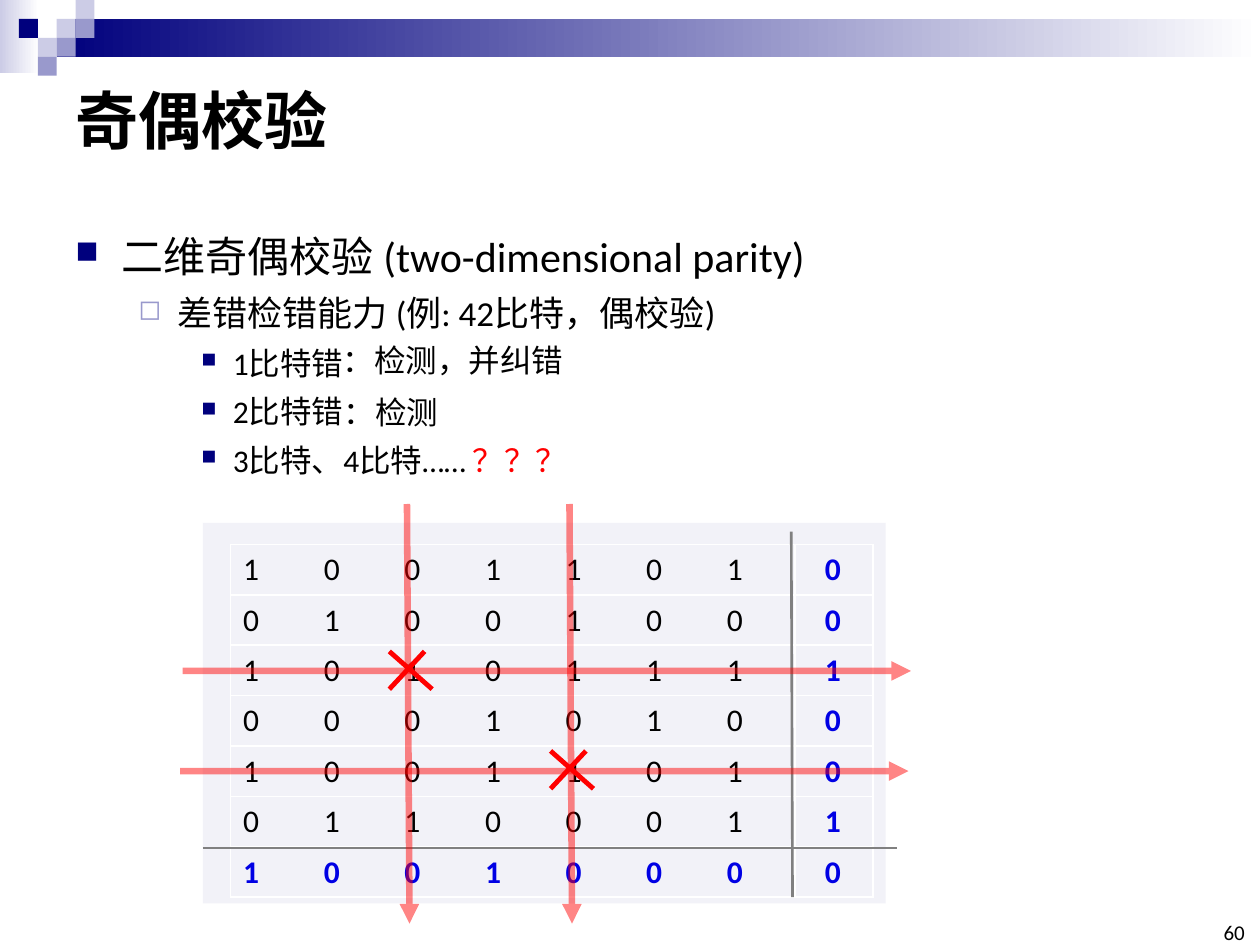
from lxml import etree
from pptx import Presentation
from pptx.dml.color import RGBColor
from pptx.enum.shapes import MSO_CONNECTOR, MSO_SHAPE
from pptx.enum.text import MSO_ANCHOR, PP_ALIGN
from pptx.oxml.ns import qn
from pptx.util import Inches, Pt

RECT, LINE = MSO_SHAPE.RECTANGLE, MSO_CONNECTOR.STRAIGHT
LEFT, CENTER, RIGHT = PP_ALIGN.LEFT, PP_ALIGN.CENTER, PP_ALIGN.RIGHT
MIDDLE, BOTTOM = MSO_ANCHOR.MIDDLE, MSO_ANCHOR.BOTTOM
PLAIN = "{2D5ABB26-0587-4C30-8999-92F81FD0307C}"
FONT, HEAD = "Calibri", "Noto Sans CJK SC"
COLORS = {"navy": "00007D", "mid": "9999CC", "pale": "CCCCE6", "white": "FFFFFF",
          "panel": "F2F2F8", "black": "000000", "blue": "0000E4", "red": "FF0000",
          "gray": "808080"}
BITS = ["1001101", "0100100", "1010111", "0001010", "1001101", "0110001"]
CHECKS = list("001001")
POINTS = [
    (0, 24, "■", "navy", 75, "二维奇偶校验 (two-dimensional parity)"),
    (1, 20, "◻", "mid", 80, "差错检错能力 (例: 42比特，偶校验)"),
    (2, 18, "■", "navy", 65, "1比特错"),
    (2, 18, "■", "navy", 65, "2比特错"),
    (2, 18, "■", "navy", 65, "3比特、4比特…… "),
]
INDENTS = [(0.37, -0.37), (0.81, -0.31), (1.25, -0.25)]


def rgb(name):
    """Return the named colour."""
    return RGBColor.from_string(COLORS[name])


def sub(node, tag, **attrs):
    """Append a child element and return it."""
    return etree.SubElement(node, qn(tag), {key: str(val) for key, val in attrs.items()})


def style(run, size, color="black", bold=False, face=FONT):
    """Format a run in both Latin and East Asian type."""
    font = run.font
    font.size, font.bold, font.name = Pt(size), bold, face
    font.color.rgb = rgb(color)
    sub(run._r.get_or_add_rPr(), "a:ea", typeface=face)


def block(slide, box, color, fade=False):
    """Draw a rectangle, plain or fading to white."""
    shape = slide.shapes.add_shape(RECT, *map(Inches, box))
    shape.shadow.inherit = False
    shape.line.fill.background()
    if fade:
        shape.fill.gradient()
        shape.fill.gradient_angle = 0
        for stop, name in zip(shape.fill.gradient_stops, (color, "white")):
            stop.color.rgb = rgb(name)
    else:
        shape.fill.solid()
        shape.fill.fore_color.rgb = rgb(color)


def banner(slide, left, top, width):
    """Draw the top band with its checker of squares."""
    block(slide, (left, top, 0.31, 0.58), "pale", True)
    block(slide, (left + 0.45, top + 0.15, width - 0.45, 0.3), "navy", True)
    tiles = [(3, 1, "pale"), (4, 0, "pale"), (4, 1, "mid"), (2, 2, "pale"),
             (1, 1, "navy"), (3, 2, "mid"), (2, 3, "mid")]
    for col, row, color in tiles:
        block(slide, (left + col * 0.15, top + row * 0.15, 0.15, 0.15), color)


def heading(slide, box, text):
    """Place and format the title."""
    title = slide.shapes.title
    title.left, title.top, title.width, title.height = map(Inches, box)
    frame = title.text_frame
    frame.text, frame.vertical_anchor = text, MIDDLE
    frame.paragraphs[0].alignment = LEFT
    style(frame.paragraphs[0].runs[0], 36, bold=True, face=HEAD)


def textbox(slide, box):
    """Add a wrapping text box and return its frame."""
    frame = slide.shapes.add_textbox(*map(Inches, box)).text_frame
    frame.word_wrap = True
    return frame


def outline(slide, box):
    """Write the bulleted points."""
    frame = textbox(slide, box)
    for idx, (level, size, mark, color, scale, text) in enumerate(POINTS):
        para = frame.add_paragraph() if idx else frame.paragraphs[0]
        para.text, para.level = text, level
        if idx:
            para.space_before = Pt(6)
        else:
            para.line_spacing = 1.5
        props = para._p.get_or_add_pPr()
        margin, indent = INDENTS[level]
        props.set("marL", str(Inches(margin)))
        props.set("indent", str(Inches(indent)))
        sub(sub(props, "a:buClr"), "a:srgbClr", val=COLORS[color])
        sub(props, "a:buSzPct", val=scale * 1000)
        sub(props, "a:buChar", char=mark)
        style(para.runs[0], size)
    run = para.add_run()
    run.text = "？？？"
    style(run, 18, "red")


def remark(slide, box, text):
    """Write the outcome beside a point."""
    frame = textbox(slide, box)
    frame.text = text
    para = frame.paragraphs[0]
    para._p.get_or_add_pPr().set("marL", str(Inches(1)))
    style(para.runs[0], 18)


def number(slide, box, text):
    """Write the page number."""
    frame = textbox(slide, box)
    frame.margin_left = frame.margin_right = frame.margin_top = frame.margin_bottom = 0
    frame.text, frame.vertical_anchor, frame.word_wrap = text, BOTTOM, False
    frame.paragraphs[0].alignment = RIGHT
    style(frame.paragraphs[0].runs[0], 12)


def border(cell, sides):
    """Rule the given sides of a cell in white."""
    props = cell._tc.get_or_add_tcPr()
    for idx, side in enumerate(sides):
        edge = etree.Element(qn("a:ln" + side), {"w": str(Pt(1))})
        sub(sub(edge, "a:solidFill"), "a:srgbClr", val=COLORS["white"])
        props.insert(idx, edge)


def grid(slide, left, top, rows, color="black", align=LEFT):
    """Set rows of bits as a table."""
    wide, tall = len(rows[0]), len(rows)
    size = (left, top, wide * 0.64, tall * 0.4)
    table = slide.shapes.add_table(tall, wide, *map(Inches, size)).table
    table.first_row = table.horz_banding = False
    table._tbl.tblPr.find(qn("a:tableStyleId")).text = PLAIN
    for row, bits in enumerate(rows):
        for col, bit in enumerate(bits):
            cell = table.cell(row, col)
            cell.text = bit
            cell.fill.background()
            para = cell.text_frame.paragraphs[0]
            para.alignment = align
            style(para.runs[0], 18, color, color == "blue")
            border(cell, "L" * (col == 0) + "R" * (col == wide - 1) + "TB")


def stroke(slide, start, end, color, width, arrow=False):
    """Draw a line, or a translucent arrow."""
    line = slide.shapes.add_connector(LINE, *map(Inches, start + end))
    line.line.color.rgb, line.line.width = rgb(color), Pt(width)
    if arrow:
        edge = line.line._get_or_add_ln()
        sub(next(edge.iter(qn("a:srgbClr"))), "a:alpha", val=47000)
        sub(edge, "a:tailEnd", type="triangle")
    sub(line._element.spPr, "a:effectLst")


def cross(slide, left, top):
    """Mark a wrong bit."""
    low = top + 0.3
    stroke(slide, (left, top), (left + 0.34, low), "red", 2.75)
    stroke(slide, (left + 0.28, top), (left, low), "red", 2.75)


def parity(slide, left, top, width, height):
    """Draw the bit matrix, its check bits and the error marks."""
    block(slide, (left, top, width, height), "panel")
    start, side = left + 0.22, left + 4.68
    first, last = top + 0.17, top + 2.57
    grid(slide, start, last, ["1001000"], "blue")
    grid(slide, start, first, BITS)
    grid(slide, side, first, CHECKS, "blue", CENTER)
    grid(slide, side, last, ["0"], "blue", CENTER)
    stroke(slide, (left, top + 2.58), (left + 5.51, top + 2.58), "gray", 1.5)
    stroke(slide, (side - 0.01, top + 0.07), (side, top + 2.97), "gray", 1.5)
    for x, y in ((1.48, 1.02), (2.76, 1.81)):
        cross(slide, left + x, top + y)
    for x, y in ((-0.16, 1.175), (-0.18, 1.97)):
        stroke(slide, (left + x, top + y), (left + x + 5.78, top + y), "red", 3.75, True)
    for x in (1.62, 2.91):
        stroke(slide, (left + x, top - 0.15), (left + x + 0.02, top + 3.18), "red", 3.75, True)


def main():
    """Build and save the slide."""
    deck = Presentation()
    deck.slide_width, deck.slide_height = Inches(10), Inches(7.5)
    slide = deck.slides.add_slide(deck.slide_layouts[5])
    banner(slide, 0, 0, 10)
    heading(slide, (0.5, 0.5, 9, 0.89), "奇偶校验")
    outline(slide, (0.5, 1.58, 9, 2.38))
    remark(slide, (1.62, 2.66, 2.99, 0.4), "：检测，并纠错")
    remark(slide, (1.63, 3.07, 2.99, 0.4), "：检测")
    parity(slide, 1.61, 4.15, 5.42, 3.02)
    number(slide, (9.65, 7.33, 0.23, 0.17), "60")
    deck.save("out.pptx")


if __name__ == "__main__":
    main()
